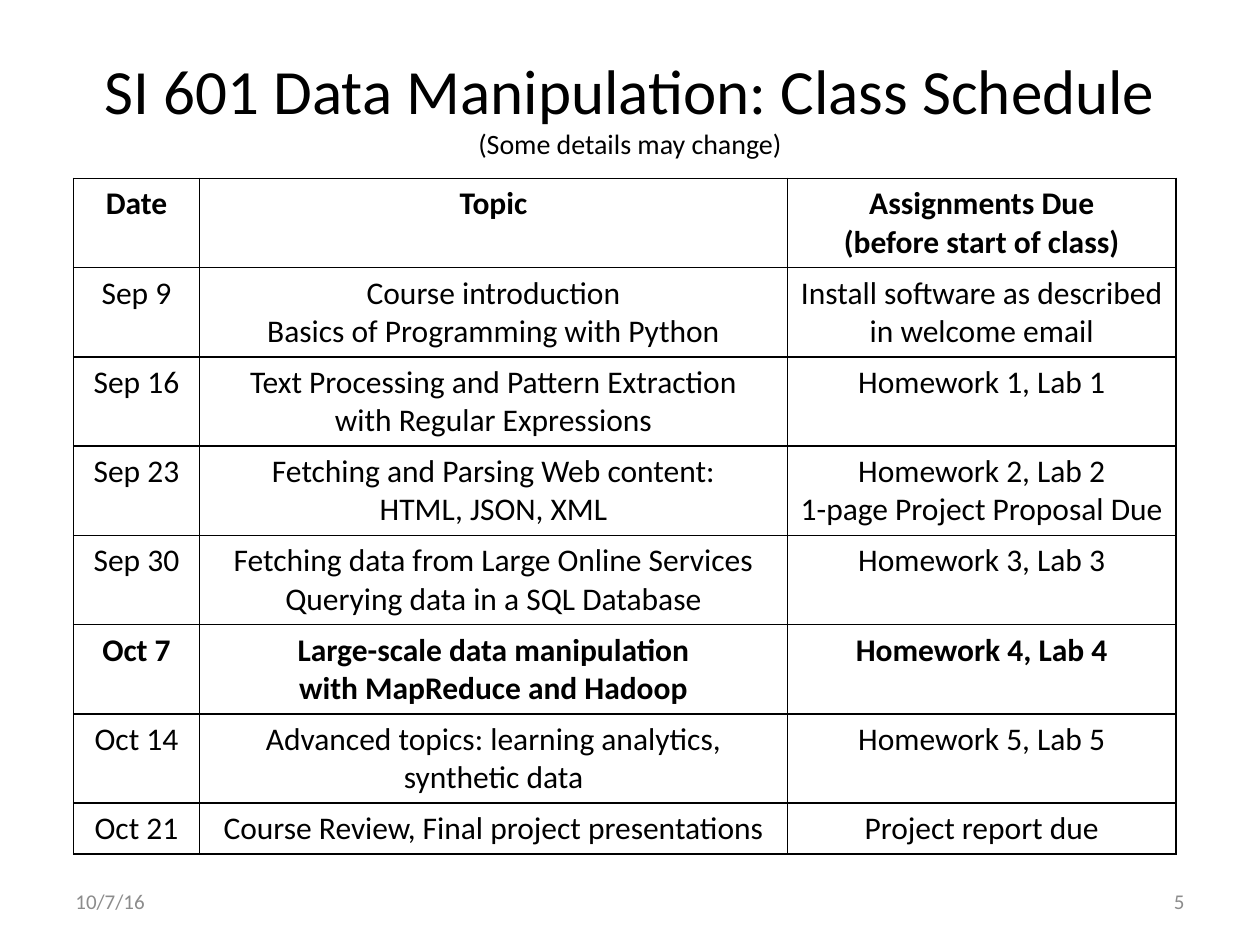
from typing import NamedTuple

from lxml import etree
from pptx import Presentation
from pptx import util as u
from pptx.dml import color
from pptx.enum import text
from pptx.oxml import ns

BLACK, WHITE, GREY = "000000", "FFFFFF", "8C8C8C"
COLUMN_WIDTHS = (72, 336, 222)
ROW_HEIGHT, LAST_ROW_HEIGHT = 51, 29


class Label(NamedTuple):
    left: float
    top: float
    width: float
    height: float
    lines: tuple[tuple[str, int], ...]
    align: text.PP_ALIGN
    ink: str
    bottom_inset: float = 3.6


class Session(NamedTuple):
    date: str
    topic: tuple[str, ...]
    due: tuple[str, ...]
    bold: bool = False


LABELS = (
    Label(36, 21.6, 648, 90,
          (("SI 601 Data Manipulation: Class Schedule", 36), ("(Some details may change)", 16)),
          text.PP_ALIGN.CENTER, BLACK, 16),
    Label(36, 500.4, 168, 28.8, (("10/7/16", 12),), text.PP_ALIGN.LEFT, GREY),
    Label(516, 500.4, 168, 28.8, (("5", 12),), text.PP_ALIGN.RIGHT, GREY),
)

SCHEDULE = (
    Session("Date", ("Topic",), ("Assignments Due", "(before start of class)"), True),
    Session("Sep 9", ("Course introduction", "Basics of Programming with Python"),
            ("Install software as described in welcome email",)),
    Session("Sep 16", ("Text Processing and Pattern Extraction", "with Regular Expressions"),
            ("Homework 1, Lab 1",)),
    Session("Sep 23", ("Fetching and Parsing Web content:", "HTML, JSON, XML"),
            ("Homework 2, Lab 2", "1-page Project Proposal Due")),
    Session("Sep 30", ("Fetching data from Large Online Services", "Querying data in a SQL Database"),
            ("Homework 3, Lab 3",)),
    Session("Oct 7", ("Large-scale data manipulation", "with MapReduce and Hadoop"),
            ("Homework 4, Lab 4",), True),
    Session("Oct 14", ("Advanced topics: learning analytics, synthetic data",),
            ("Homework 5, Lab 5",)),
    Session("Oct 21", ("Course Review, Final project presentations",), ("Project report due",)),
)


def rgb(value: str) -> color.RGBColor:
    return color.RGBColor.from_string(value)


def add_span(para, words: str, size: int, ink: str = BLACK, bold: bool = False) -> None:
    span = para.add_run()
    span.text = words
    span.font.name = "Calibri"
    span.font.size = u.Pt(size)
    span.font.bold = bold
    span.font.color.rgb = rgb(ink)


def draw_label(page, label: Label) -> None:
    box = page.shapes.add_textbox(*(u.Pt(length) for length in label[:4]))
    frame = box.text_frame
    frame.word_wrap = True
    frame.vertical_anchor = text.MSO_ANCHOR.MIDDLE
    frame.margin_bottom = u.Pt(label.bottom_inset)
    para = frame.paragraphs[0]
    para.alignment = label.align
    for index, (words, size) in enumerate(label.lines):
        if index:
            para.add_line_break()
        add_span(para, words, size, label.ink)


def outline_cell(cell) -> None:
    properties = cell._tc.get_or_add_tcPr()
    for position, side in enumerate(("lnL", "lnR", "lnT", "lnB")):
        border = etree.Element(ns.qn(f"a:{side}"), w=str(u.Pt(1)))
        fill = etree.SubElement(border, ns.qn("a:solidFill"))
        etree.SubElement(fill, ns.qn("a:srgbClr"), val=BLACK)
        properties.insert(position, border)


def fill_cell(cell, lines: tuple[str, ...], bold: bool) -> None:
    cell.fill.solid()
    cell.fill.fore_color.rgb = rgb(WHITE)
    outline_cell(cell)
    frame = cell.text_frame
    for index, words in enumerate(lines):
        para = frame.add_paragraph() if index else frame.paragraphs[0]
        para.alignment = text.PP_ALIGN.CENTER
        add_span(para, words, 18, bold=bold)


def draw_schedule(page, sessions: tuple[Session, ...]) -> None:
    heights = [ROW_HEIGHT] * (len(sessions) - 1) + [LAST_ROW_HEIGHT]
    table = page.shapes.add_table(
        len(sessions), len(COLUMN_WIDTHS), u.Pt(42), u.Pt(102),
        u.Pt(sum(COLUMN_WIDTHS)), u.Pt(sum(heights))).table
    for column, width in zip(table.columns, COLUMN_WIDTHS):
        column.width = u.Pt(width)
    for row, height, session in zip(table.rows, heights, sessions):
        row.height = u.Pt(height)
        for cell, lines in zip(row.cells, ((session.date,), session.topic, session.due)):
            fill_cell(cell, lines, session.bold)


def main() -> None:
    """Build the class schedule slide."""
    deck = Presentation()
    deck.slide_width, deck.slide_height = u.Pt(720), u.Pt(540)
    page = deck.slides.add_slide(deck.slide_layouts[6])
    for label in LABELS:
        draw_label(page, label)
    draw_schedule(page, SCHEDULE)
    deck.save("out.pptx")


if __name__ == "__main__":
    main()
